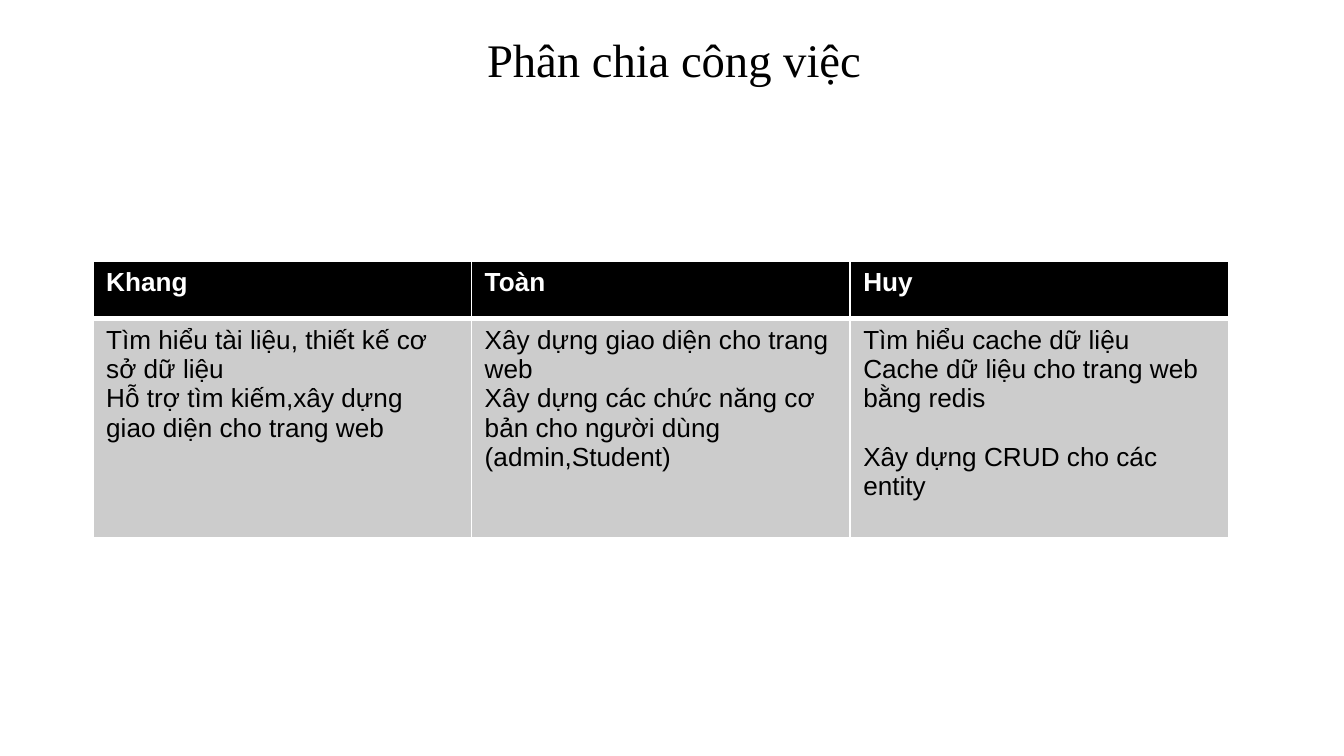
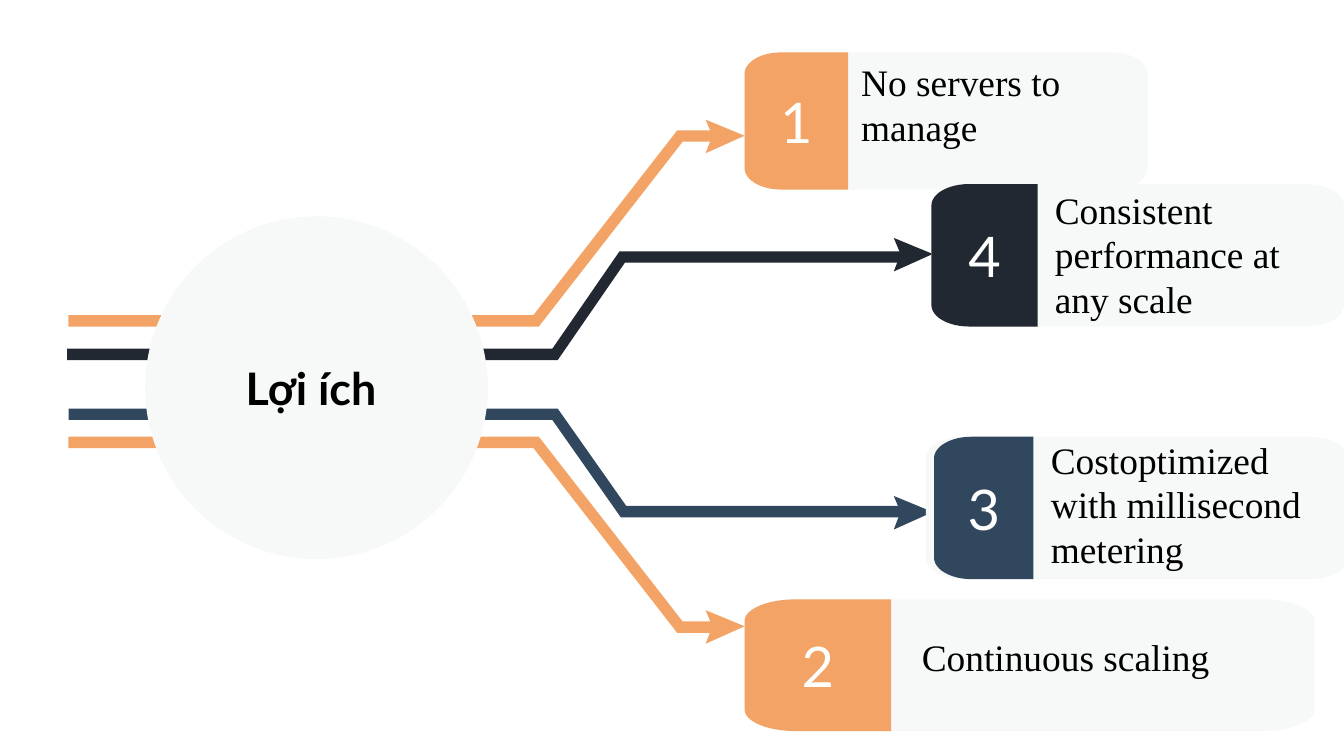
import math

import lxml.etree
import pptx
import pptx.dml.color
import pptx.enum.shapes
import pptx.enum.text
import pptx.oxml.ns
import pptx.util

PX = 9144
COLORS = {
    "white": "FFFFFF",
    "black": "000000",
    "gray": "CCCCCC",
    "pale": "F7F9F9",
    "orange": "F2A365",
    "dark": "222831",
    "blue": "30475E",
}
SERIF, SANS, LATO = "Times New Roman", "Arial", "Lato"
ALIGN = pptx.enum.text.PP_ALIGN
MIDDLE = pptx.enum.text.MSO_ANCHOR.MIDDLE

TASKS = {
    "Khang": [
        "Tìm hiểu tài liệu, thiết kế cơ sở dữ liệu",
        "Hỗ trợ tìm kiếm,xây dựng giao diện cho trang web",
    ],
    "Toàn": [
        "Xây dựng giao diện cho trang web",
        "Xây dựng các chức năng cơ bản cho người dùng (admin,Student)",
    ],
    "Huy": [
        "Tìm hiểu cache dữ liệu",
        "Cache dữ liệu cho trang web bằng redis",
        "\nXây dựng CRUD cho các entity",
    ],
}

# band box, near bend, far bend, arrow position, rising, colour
ROUTES = [
    ((51, 97, 483, 146), 346, 453, (525, 89), True, "orange"),
    ((50, 187, 626, 81), 361, 411, (665, 177), True, "dark"),
    ((51, 304, 625, 81), 360, 411, (665, 369), False, "blue"),
    ((51, 325, 483, 146), 346, 453, (525, 454), False, "orange"),
]

# number, panel box, tab offset, tab width, colour, caption, caption box
CARDS = [
    ("1", (554, 39, 300, 102), 0, 77, "orange",
     "No servers to manage", (77, 0, 226, 111)),
    ("2", (554, 446, 424, 98), 0, 109, "orange",
     "Continuous scaling", (122, 21, 502, 44)),
    ("3", (689, 325, 314, 106), 6, 74, "blue",
     "Costoptimized with millisecond metering", (83, -5, 232, 145)),
    ("4", (693, 137, 307, 106), 0, 79, "dark",
     "Consistent performance at any scale", (82, -3, 222, 111)),
]


def emu(box):
    """Turn px lengths into EMU."""
    return [pptx.util.Emu(round(value * PX)) for value in box]


def rgb(color):
    """Look up a colour by name."""
    return pptx.dml.color.RGBColor.from_string(COLORS[color])


def paint(shape, color):
    """Give a shape a plain fill without line or shadow."""
    shape.shadow.inherit = False
    shape.fill.solid()
    shape.fill.fore_color.rgb = rgb(color)
    shape.line.fill.background()


def format_breaks(paragraph, font, size):
    """Give line breaks the font and size of their paragraph."""
    for line_break in paragraph._p.findall(pptx.oxml.ns.qn("a:br")):
        properties = lxml.etree.SubElement(line_break, pptx.oxml.ns.qn("a:rPr"))
        properties.set("sz", str(size * 100))
        latin = lxml.etree.SubElement(properties, pptx.oxml.ns.qn("a:latin"))
        latin.set("typeface", font)


def write(frame, lines, font, size, color="black", bold=False,
          align=ALIGN.LEFT, inset=None):
    """Fill a text frame with one paragraph for each line."""
    frame.word_wrap = True
    if inset is not None:
        (frame.margin_left, frame.margin_top,
         frame.margin_right, frame.margin_bottom) = emu([inset] * 4)
    for index, line in enumerate(lines):
        paragraph = frame.add_paragraph() if index else frame.paragraphs[0]
        paragraph.alignment = align
        for part_index, part in enumerate(line.split("\n")):
            if part_index:
                paragraph.add_line_break()
            if part:
                run = paragraph.add_run()
                run.text = part
                run.font.name = font
                run.font.size = pptx.util.Pt(size)
                run.font.bold = bold
                run.font.color.rgb = rgb(color)
        format_breaks(paragraph, font, size)


def add_outline(shapes, box, points, color):
    """Draw a filled polygon whose points are relative to the box."""
    left, top = box[:2]
    corners = [emu((left + x, top + y)) for x, y in points]
    builder = shapes.build_freeform(*corners[0], scale=1.0)
    builder.add_line_segments(corners[1:], close=True)
    shape = builder.convert_to_shape()
    paint(shape, color)
    return shape


def set_borders(cell, widths):
    """Draw white cell borders with widths in points, by side."""
    properties = cell._tc.get_or_add_tcPr()
    for index, (side, width) in enumerate(widths.items()):
        line = lxml.etree.Element(pptx.oxml.ns.qn("a:ln" + side))
        line.set("w", str(pptx.util.Pt(width)))
        fill = lxml.etree.SubElement(line, pptx.oxml.ns.qn("a:solidFill"))
        color = lxml.etree.SubElement(fill, pptx.oxml.ns.qn("a:srgbClr"))
        color.set("val", COLORS["white"])
        properties.insert(index, line)


def add_title(slide, box, text):
    """Move the title placeholder into the box and write it."""
    title = slide.shapes.title
    title.left, title.top, title.width, title.height = emu(box)
    title.text_frame.auto_size = pptx.enum.text.MSO_AUTO_SIZE.NONE
    title.text_frame.vertical_anchor = MIDDLE
    write(title.text_frame, [text], SERIF, 25, align=ALIGN.CENTER, inset=10)


def add_task_table(slide, box, tasks):
    """Place the table with one column for each member."""
    table = slide.shapes.add_table(2, len(tasks), *emu(box)).table
    table.horz_banding = False
    header_height = 43
    table.rows[0].height, table.rows[1].height = emu(
        (header_height, box[3] - header_height))
    for column, (member, lines) in enumerate(tasks.items()):
        rows = [([member], "black", "white", True, 1, 3),
                (lines, "gray", "black", False, 3, 1)]
        for row, (texts, fill, color, bold, top, bottom) in enumerate(rows):
            cell = table.cell(row, column)
            cell.fill.solid()
            cell.fill.fore_color.rgb = rgb(fill)
            write(cell.text_frame, texts, SANS, 14, color, bold)
            set_borders(cell, {"L": 1, "R": 1, "T": top, "B": bottom})


def add_route(slide, box, near, far, arrow, rising, color):
    """Draw a bent band and its arrowhead."""
    width, height = box[2:]
    thick = 8.5
    points = [(0, 0), (0, thick), (near, thick), (far, height), (width, height),
              (width, height - thick), (far + 4, height - thick), (near + 4, 0)]
    if rising:
        points = [(x, height - y) for x, y in points]
    add_outline(slide.shapes, box, points, color)
    add_outline(slide.shapes, arrow, [(0, 0), (5, 12), (0, 25), (29, 12)], color)


def add_hub(slide, box, text):
    """Draw the central circle with its label."""
    hub = slide.shapes.add_shape(pptx.enum.shapes.MSO_SHAPE.OVAL, *emu(box))
    paint(hub, "pale")
    hub.text_frame.vertical_anchor = MIDDLE
    write(hub.text_frame, [text], LATO, 24, bold=True, align=ALIGN.CENTER, inset=10)
    hub.text_frame.margin_right = emu([18])[0]


def rounded_points(width, height, radius_x, radius_y, round_right):
    """List the points of a box with elliptic corners on one or both sides."""
    steps = 12
    corners = [(radius_x, radius_y, 180, True),
               (width - radius_x, radius_y, 270, round_right),
               (width - radius_x, height - radius_y, 0, round_right),
               (radius_x, height - radius_y, 90, True)]
    points = []
    for x, y, start, is_round in corners:
        if not is_round:
            points.append((width, 0 if start == 270 else height))
            continue
        for step in range(steps + 1):
            angle = math.radians(start + 90 * step / steps)
            points.append((x + radius_x * math.cos(angle),
                           y + radius_y * math.sin(angle)))
    return points


def add_card(slide, number, box, tab_offset, tab_width, color):
    """Draw a numbered card."""
    left, top, width, height = box
    radius_x, radius_y = round(width * 0.09), 16
    group = slide.shapes.add_group_shape()
    add_outline(group.shapes, box,
                rounded_points(width, height, radius_x, radius_y, True), "pale")
    tab = add_outline(group.shapes, (left + tab_offset, top),
                      rounded_points(tab_width, height, radius_x, radius_y, False),
                      color)
    tab.text_frame.vertical_anchor = MIDDLE
    write(tab.text_frame, [number], LATO, 30, "white", align=ALIGN.CENTER, inset=10)


def add_caption(slide, box, text, caption_box):
    """Write a caption placed relative to its card."""
    x, y, width, height = caption_box
    label = slide.shapes.add_textbox(*emu((box[0] + x, box[1] + y, width, height)))
    write(label.text_frame, [text], SERIF, 20)


def build_tasks_slide(presentation):
    """Build the slide that shares out the work."""
    slide = presentation.slides.add_slide(presentation.slide_layouts[5])
    add_task_table(slide, (69, 194, 845, 206), TASKS)
    add_title(slide, (79, 22, 845, 44), "Phân chia công việc")


def build_benefits_slide(presentation):
    """Build the slide with the hub, routes and cards."""
    slide = presentation.slides.add_slide(presentation.slide_layouts[6])
    for route in ROUTES:
        add_route(slide, *route)
    add_hub(slide, (108, 161, 255, 255), "Lợi ích")
    for number, box, tab_offset, tab_width, color, _, _ in CARDS:
        add_card(slide, number, box, tab_offset, tab_width, color)
    for _, box, _, _, _, caption, caption_box in CARDS:
        add_caption(slide, box, caption, caption_box)


def main():
    """Build and save the presentation."""
    presentation = pptx.Presentation()
    presentation.slide_width = pptx.util.Inches(10)
    presentation.slide_height = presentation.slide_width * 9 // 16
    build_tasks_slide(presentation)
    build_benefits_slide(presentation)
    presentation.save("out.pptx")


if __name__ == "__main__":
    main()
